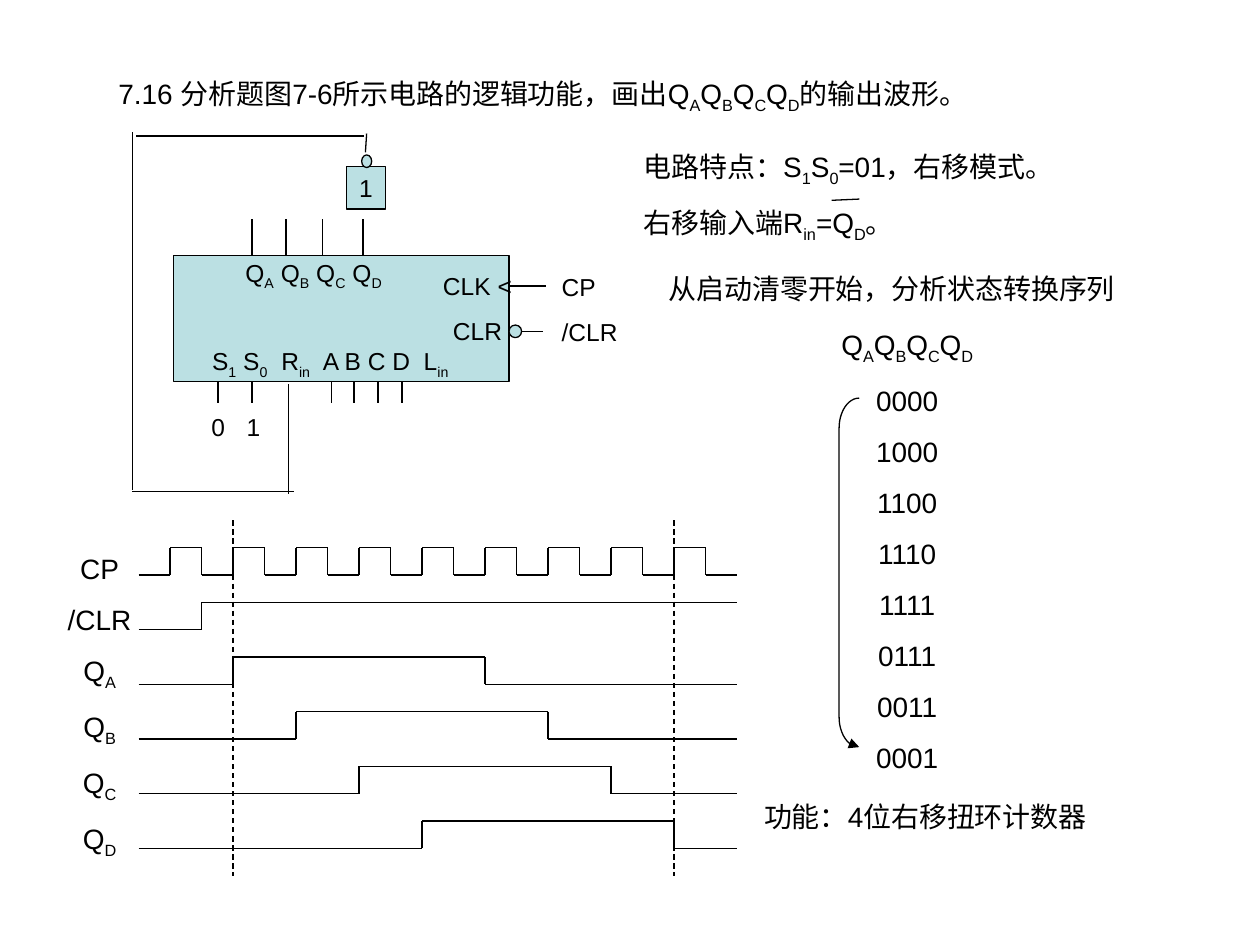
import math
from dataclasses import dataclass
from typing import Any

from lxml import etree
from pptx import Presentation
from pptx import util as u
from pptx.dml.color import RGBColor
from pptx.enum import dml, shapes, text
from pptx.oxml import ns

FONT, INK, TEAL = "Arial", "000000", "BBE0E3"
LEFT, CENTER = text.PP_ALIGN.LEFT, text.PP_ALIGN.CENTER
OUTPUTS = "Q|A|Q|B|Q|C|Q|D|"


def color(fmt, value):
    fmt.rgb = RGBColor.from_string(value)


def outline(sp):
    sp.line.width = u.Pt(0.75)
    color(sp.line.fill.fore_color if sp.line.fill.solid() else sp.line.color, INK)


def write(tf, lines, size, align=CENTER, tabs=()):
    tf.word_wrap = True
    for i, content in enumerate(lines):
        p = tf.add_paragraph() if i else tf.paragraphs[0]
        if tabs:
            tab_list = etree.SubElement(p._p.get_or_add_pPr(), ns.qn("a:tabLst"))
            for stop in tabs:
                tab = etree.SubElement(tab_list, ns.qn("a:tab"))
                tab.set("pos", str(u.Inches(stop)))
                tab.set("algn", "l")
        p.alignment = align
        p.space_before = u.Pt(size * 0.625 if i else 0)
        for j, part in enumerate(content.split("|")):
            if not part:
                continue
            r = p.add_run()
            r.text = part
            r.font.name, r.font.size = FONT, u.Pt(size)
            color(r.font.color, INK)
            if j % 2:
                r._r.get_or_add_rPr().set("baseline", "-25000")


@dataclass
class Grid:
    shapes: Any
    left: float
    top: float
    col: float = 0.1
    row: float = 0.1

    def x(self, c):
        return u.Inches(self.left + c * self.col)

    def y(self, r):
        return u.Inches(self.top + r * self.row)

    def box(self, c, r, w, h):
        return self.x(c), self.y(r), u.Inches(w * self.col), u.Inches(h * self.row)

    def label(self, box, lines, size, align=CENTER, tabs=()):
        sp = self.shapes.add_textbox(*self.box(*box))
        write(sp.text_frame, lines, size, align, tabs)
        return sp

    def shape(self, kind, box):
        sp = self.shapes.add_shape(kind, *self.box(*box))
        sp.shadow.inherit = False
        sp.fill.solid()
        color(sp.fill.fore_color, TEAL)
        outline(sp)
        return sp

    def line(self, c1, r1, c2, r2):
        s = self.shapes.add_connector(
            shapes.MSO_CONNECTOR.STRAIGHT, self.x(c1), self.y(r1), self.x(c2), self.y(r2))
        etree.SubElement(s._element.spPr, ns.qn("a:effectLst"))
        outline(s)
        return s

    def polyline(self, points):
        for start, end in zip(points, points[1:]):
            self.line(*start, *end)


def group(s, left, top, col=0.1, row=0.1):
    return Grid(s.shapes.add_group_shape().shapes, left, top, col, row)


def add_title(s, left, top, width, height):
    sp = s.shapes.title
    sp.left, sp.top, sp.width, sp.height = map(u.Inches, (left, top, width, height))
    tf = sp.text_frame
    tf.auto_size = text.MSO_AUTO_SIZE.NONE
    tf.vertical_anchor = text.MSO_ANCHOR.TOP
    write(tf, [f"7.16 分析题图7-6所示电路的逻辑功能，画出{OUTPUTS}的输出波形。"], 16, LEFT)


def add_circuit(s, left, top):
    g = group(s, left, top)
    rect, oval = shapes.MSO_SHAPE.RECTANGLE, shapes.MSO_SHAPE.OVAL
    g.shape(rect, (3.3, 9.8, 26.6, 10))
    g.label((5.35, 16.5, 25, 3.7), ["S|1| S|0|\tR|in|\tA B C D\tL|in|"], 14, LEFT,
            (0.55, 0.88, 1.68))
    clock = g.label((24.6, 10.5, 5.6, 6.9), ["CLK <", "CLR"], 14)
    clock.text_frame.margin_left = clock.text_frame.margin_right = 0
    g.shape(oval, (29.9, 15.3, 1, 1))
    g.line(29.9, 12.2, 32.8, 12.2)
    g.line(30.9, 15.8, 32.6, 15.8)
    g.label((6.1, 9.5, 16.6, 3.7), ["Q|A| Q|B| Q|C| Q|D|"], 14)
    for c in (9.5, 12.2, 15.1, 18.3):
        g.line(c, 9.8, c, 6.9)
    for c in (6.8, 9.5, 15.8, 17.6, 19.5, 21.4):
        g.line(c, 19.8, c, 21.5)
    g.line(18.4, 0.3, 0.3, 0.3)
    g.line(0, 0, 0, 28.4)
    g.line(0, 28.5, 12.8, 28.5)
    g.line(12.4, 20, 12.4, 28.7)
    g.label((5.3, 21.7, 6.4, 3.4), ["0\t1"], 14, LEFT, (0.28,))
    g.label((33.1, 10.6, 7.4, 6.9), ["CP", "/CLR"], 14, LEFT)
    inverter = g.shape(rect, (17, 2.7, 3.1, 3.4))
    write(inverter.text_frame, ["1"], 14)
    inverter.text_frame.word_wrap = False
    inverter.text_frame.vertical_anchor = text.MSO_ANCHOR.MIDDLE
    g.shape(oval, (18.2, 1.8, 0.8, 1))
    g.line(18.5, 1.6, 18.6, 0.1)


def add_features(s, left, top):
    g = group(s, left, top)
    g.label((0, 0, 37, 8.5),
            ["电路特点：S|1|S|0|=01，右移模式。", "右移输入端R|in|=Q|D|。"], 16, LEFT)
    g.line(15.9, 4.5, 18.1, 4.4)


def add_loop_arrow(g, c, r, w, h, bend):
    steps = [i * math.pi / 24 for i in range(13)]
    top = [(c + w - w * math.sin(a), r + bend - bend * math.cos(a)) for a in steps]
    bottom = [(x, 2 * r + h - y) for x, y in reversed(top)]
    points = [(g.x(x), g.y(y)) for x, y in top + bottom]
    builder = g.shapes.build_freeform(*points[0])
    builder.add_line_segments(points[1:], close=False)
    sp = builder.convert_to_shape()
    sp.shadow.inherit = False
    sp.fill.background()
    outline(sp)
    etree.SubElement(sp.line._get_or_add_ln(), ns.qn("a:tailEnd")).set("type", "triangle")


def add_sequence(s, left, top):
    g = group(s, left, top)
    g.label((0, 0, 40, 3.7), ["从启动清零开始，分析状态转换序列"], 16)
    states = ["0000", "1000", "1100", "1110", "1111", "0111", "0011", "0001"]
    g.label((14.3, 4.4, 13.8, 36.5), [OUTPUTS] + states, 16)
    add_loop_arrow(g, 15.8, 10.5, 1.6, 27.7, 2.4)


def add_waveforms(s, left, top, width, height):
    cols, rows = 19, 13
    g = group(s, left, top, width / cols, height / rows)
    signals = [range(1, cols), [2]] + [[3 + 2 * i, 11 + 2 * i] for i in range(4)]
    for i, edges in enumerate(signals):
        level = 2 * i + 2
        points = [(0, level)]
        for c in edges:
            points.append((c, level))
            level = 4 * i + 3 - level
            points.append((c, level))
        g.polyline(points + [(cols, level)])
    for c in (3, 17):
        g.line(c, 0, c, rows).line.dash_style = dml.MSO_LINE.DASH
    g.label((-2.8, 0.92, 3.12, 11.7), ["CP", "/CLR"] + [f"Q|{n}|" for n in "ABCD"], 16)


def add_conclusion(s, left, top):
    Grid(s.shapes, left, top).label((0, 0, 30.7, 3.7), ["功能：4位右移扭环计数器"], 16)


def main():
    prs = Presentation()
    prs.slide_width, prs.slide_height = u.Inches(10), u.Inches(7.5)
    s = prs.slides.add_slide(prs.slide_layouts[5])
    add_title(s, 0.84, 0.56, 7.89, 0.41)
    add_circuit(s, 1.05, 1.05)
    add_features(s, 5.01, 1.14)
    add_sequence(s, 5.08, 2.11)
    add_conclusion(s, 5.81, 6.3)
    add_waveforms(s, 1.1, 4.13, 4.75, 2.82)
    prs.save("out.pptx")


if __name__ == "__main__":
    main()
